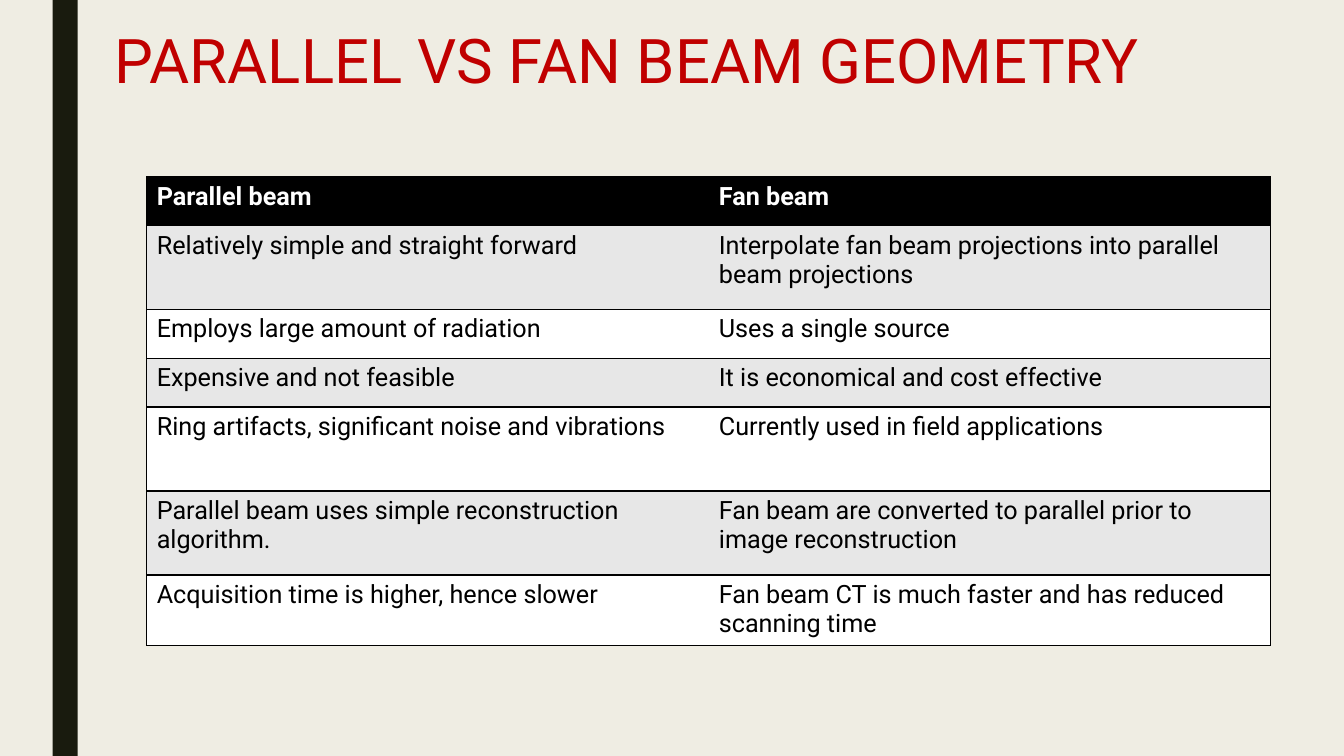
from lxml.etree import SubElement
from pptx import Presentation
from pptx.dml.color import RGBColor
from pptx.enum.shapes import MSO_SHAPE as SHAPE
from pptx.oxml.ns import qn
from pptx.util import Pt

BACKGROUND = RGBColor(0xEF, 0xED, 0xE3)
DARK_OLIVE = RGBColor(0x19, 0x1B, 0x0E)
RED = RGBColor(0xC0, 0x00, 0x00)
BLACK = RGBColor(0x00, 0x00, 0x00)
WHITE = RGBColor(0xFF, 0xFF, 0xFF)
GREY = RGBColor(0xE7, 0xE7, 0xE7)

FONT = "Roboto"
SHORT_ROW, TALL_ROW, LAST_ROW = 34.8, 60, 49.8
COLUMN_WIDTH = 401.5

# Row height, parallel beam, fan beam
COMPARISON = [
    (SHORT_ROW, "Parallel beam", "Fan beam"),
    (TALL_ROW, "Relatively simple and straight forward",
     "Interpolate fan beam projections into parallel beam projections"),
    (SHORT_ROW, "Employs large amount of radiation", "Uses a single source"),
    (SHORT_ROW, "Expensive and not feasible",
     "It is economical and cost effective"),
    (TALL_ROW, "Ring artifacts, significant noise and vibrations",
     "Currently used in field applications"),
    (TALL_ROW, "Parallel beam uses simple reconstruction algorithm.",
     "Fan beam are converted to parallel prior to image reconstruction"),
    (LAST_ROW, "Acquisition time is higher, hence slower",
     "Fan beam CT is much faster and has reduced scanning time"),
]


def write(tf, text, size=18, color=BLACK, bold=False, spacing=None):
    tf.word_wrap = True
    p = tf.paragraphs[0]
    p.line_spacing = spacing
    r = p.add_run()
    r.text = text
    r.font.name = FONT
    r.font.size = Pt(size)
    r.font.bold = bold
    r.font.color.rgb = color


def add_bar(s, left, top, width, height, color):
    sp = s.shapes.add_shape(SHAPE.RECTANGLE, Pt(left), Pt(top),
                            Pt(width), Pt(height))
    sp.shadow.inherit = False
    sp.fill.solid()
    sp.fill.fore_color.rgb = color
    sp.line.fill.background()


def add_title(s, text, left, top, width, height):
    box = s.shapes.add_textbox(Pt(left), Pt(top), Pt(width), Pt(height))
    write(box.text_frame, text, size=44, color=RED, spacing=0.89)


def fill_cell(cell, color, edges):
    """Draw the named edges (L, R, T, B) in black and fill the cell."""
    tc_pr = cell._tc.get_or_add_tcPr()
    for edge in ("L", "R", "T", "B"):
        if edge in edges:
            ln = SubElement(tc_pr, qn(f"a:ln{edge}"), w=str(Pt(1)))
            fill = SubElement(ln, qn("a:solidFill"))
            SubElement(fill, qn("a:srgbClr"), val=str(BLACK))
        else:
            ln = SubElement(tc_pr, qn(f"a:ln{edge}"), w="0")
            SubElement(ln, qn("a:noFill"))
    cell.fill.solid()
    cell.fill.fore_color.rgb = color


def add_comparison_table(s, left, top):
    height = sum(row[0] for row in COMPARISON)
    frame = s.shapes.add_table(len(COMPARISON), 2, Pt(left), Pt(top),
                               Pt(2 * COLUMN_WIDTH), Pt(height))
    table = frame.table
    for column in table.columns:
        column.width = Pt(COLUMN_WIDTH)
    for i, (row_height, *texts) in enumerate(COMPARISON):
        table.rows[i].height = Pt(row_height)
        header = i == 0
        color = BLACK if header else (GREY if i % 2 else WHITE)
        for j, text in enumerate(texts):
            cell = table.cell(i, j)
            fill_cell(cell, color, "RTB" if j else "LTB")
            write(cell.text_frame, text, bold=header,
                  color=WHITE if header else BLACK)


def main():
    prs = Presentation()
    prs.slide_width, prs.slide_height = Pt(960), Pt(540)
    s = prs.slides.add_slide(prs.slide_layouts[6])
    s.background.fill.solid()
    s.background.fill.fore_color.rgb = BACKGROUND
    add_bar(s, 37.5, 0, 18, 540, DARK_OLIVE)
    add_title(s, "PARALLEL VS FAN BEAM GEOMETRY", 75, 18.7, 756, 62.6)
    add_comparison_table(s, 104.8, 126.4)
    prs.save("out.pptx")


if __name__ == "__main__":
    main()
